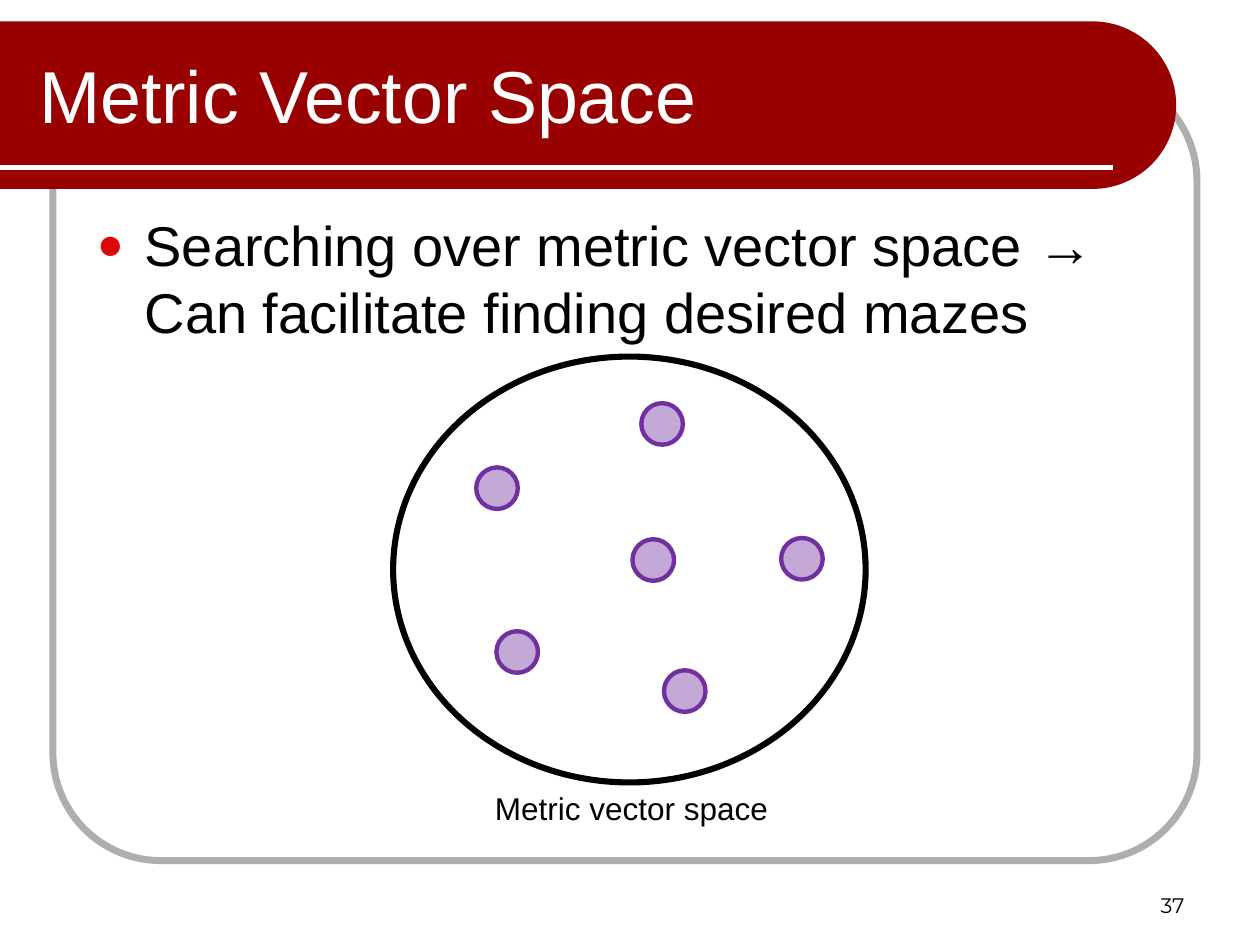
from math import cos, pi, sin
from lxml.etree import SubElement
from pptx import Presentation
from pptx.dml.color import RGBColor
from pptx.enum.shapes import MSO_CONNECTOR, MSO_SHAPE
from pptx.enum.text import MSO_ANCHOR, PP_ALIGN
from pptx.oxml.ns import qn
from pptx.util import Inches, Pt

BLACK = RGBColor(0, 0, 0)
WHITE = RGBColor(255, 255, 255)
GRAY = RGBColor(0xAE, 0xAE, 0xAE)
MAROON = RGBColor(0x99, 0, 0)
PURPLE = RGBColor(0x70, 0x30, 0xA0)


def outline(kind, box, color, width):
    shape = shapes.add_shape(kind, *map(Inches, box))
    shape.shadow.inherit = False
    shape.fill.background()
    shape.line.color.rgb = color
    shape.line.width = Pt(width)
    return shape


def write(shape, text, size, color=BLACK, face="Arial", align=PP_ALIGN.LEFT):
    para = shape.text_frame.paragraphs[0]
    para.alignment = align
    run = para.add_run()
    run.text = text
    run.font.size = Pt(size)
    run.font.name = face
    run.font.color.rgb = color
    return para


deck = Presentation()
deck.slide_width, deck.slide_height = Inches(10), Inches(7.5)
slide = deck.slides.add_slide(deck.slide_layouts[5])
shapes = slide.shapes

frame = outline(MSO_SHAPE.ROUNDED_RECTANGLE, (0.42, 0.58, 9.08, 6.25), GRAY, 4)
frame.adjustments[0] = 0.137

radius, mid = 0.665, 0.835
steps = 60
arc = []
for step in range(steps + 1):
    angle = pi * step / steps - pi / 2
    x = 8.67 + radius * cos(angle)
    y = mid + radius * sin(angle)
    arc.append((Inches(x), Inches(y)))
path = shapes.build_freeform(0, Inches(0.17))
path.add_line_segments(arc + [(0, Inches(1.5))], close=True)
banner = path.convert_to_shape()
banner.shadow.inherit = False
banner.fill.solid()
banner.fill.fore_color.rgb = MAROON
banner.line.fill.background()

rule = shapes.add_connector(
    MSO_CONNECTOR.STRAIGHT, 0, Inches(1.33), Inches(8.83), Inches(1.33))
rule.line.color.rgb = WHITE
rule.line.width = Pt(3)
SubElement(rule._element.spPr, qn("a:effectLst"))

body = shapes.add_textbox(Inches(0.67), Inches(1.62), Inches(8.67), Inches(4.83))
body.text_frame.word_wrap = True
para = write(body, "Searching over metric vector space → Can facilitate finding desired mazes", 32)
props = para._p.get_or_add_pPr()
props.set("marL", str(Inches(0.38)))
props.set("indent", str(Inches(-0.38)))
SubElement(SubElement(props, qn("a:buClr")), qn("a:srgbClr"), val="DA0808")
SubElement(props, qn("a:buSzPct"), val="80000")
SubElement(props, qn("a:buFont"), typeface="Arial")
SubElement(props, qn("a:buChar"), char="●")

title = shapes.title
title.left, title.top = Inches(0.21), Inches(0.25)
title.width, title.height = Inches(7.79), Inches(1)
title.text_frame.vertical_anchor = MSO_ANCHOR.MIDDLE
write(title, "Metric Vector Space", 42, WHITE)
shapes._spTree.append(title._element)

number = shapes.add_textbox(Inches(7.17), Inches(6.83), Inches(2.33), Inches(0.5))
number.text_frame.word_wrap = True
number.text_frame.vertical_anchor = MSO_ANCHOR.BOTTOM
write(number, "37", 12, face="Montserrat", align=PP_ALIGN.RIGHT)

outline(MSO_SHAPE.OVAL, (3.12, 2.83, 3.75, 3.38), BLACK, 3.5)
spots = [(5.09, 3.2), (6.2, 4.27), (5.02, 4.28),
         (3.78, 3.71), (3.94, 5.01), (5.27, 5.32)]
for x, y in spots:
    dot = outline(MSO_SHAPE.OVAL, (x, y, 0.33, 0.33), PURPLE, 2.5)
    dot.fill.solid()
    dot.fill.fore_color.rgb = PURPLE
    tint = dot._element.spPr.find(qn("a:solidFill")).find(qn("a:srgbClr"))
    SubElement(tint, qn("a:alpha"), val="41000")

label = shapes.add_textbox(Inches(3.83), Inches(6.21), Inches(2.39), Inches(0.4))
label.text_frame.word_wrap = False
write(label, "Metric vector space", 18)

deck.save("out.pptx")
